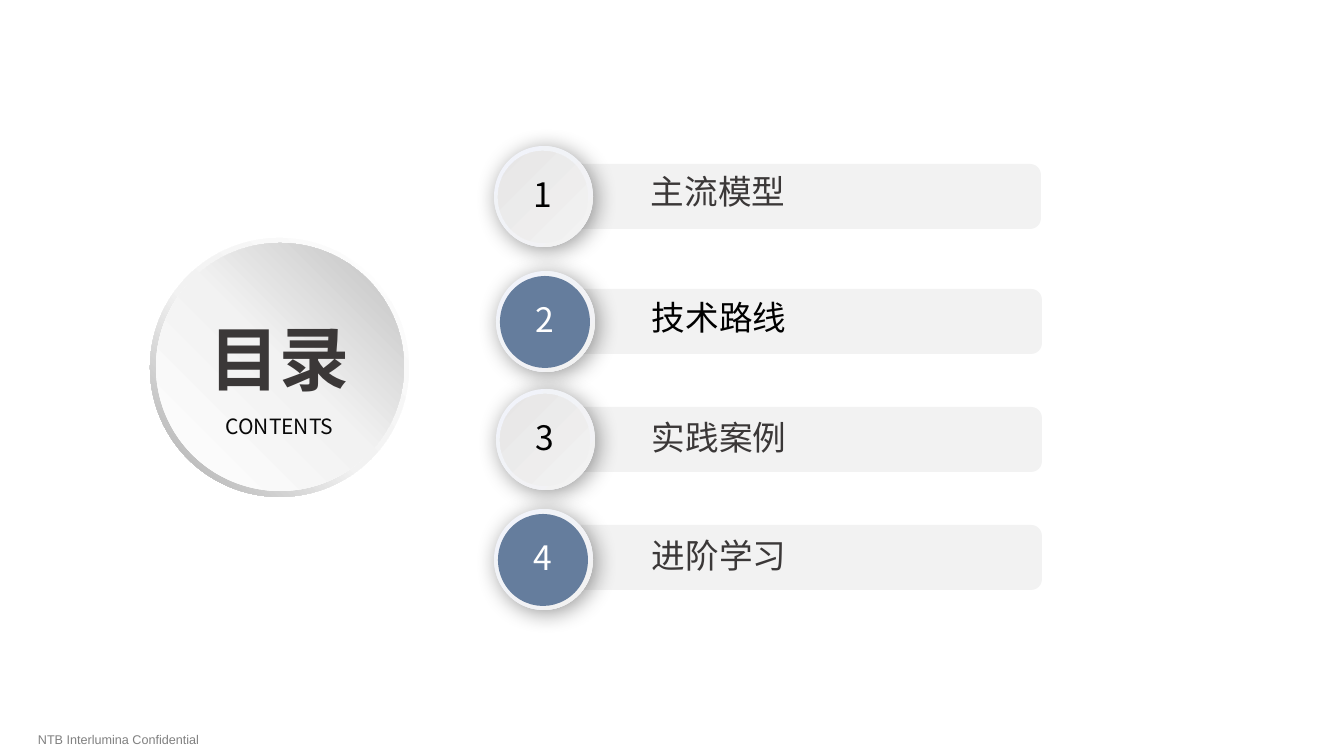
from lxml import etree
from pptx import Presentation
from pptx.dml.color import RGBColor
from pptx.enum import shapes, text
from pptx.oxml.ns import qn

PX = 914400 / 100.8
PT = 12700
SANS, ARIAL = "Noto Sans CJK SC", "Arial"

WHITE = RGBColor(0xFF, 0xFF, 0xFF)
BLACK = RGBColor(0x00, 0x00, 0x00)
INK = RGBColor(0x3B, 0x38, 0x38)
SOFT_BLACK = RGBColor(0x08, 0x08, 0x08)
FOOTER_GRAY = RGBColor(0x80, 0x80, 0x80)
PALE = RGBColor(0xF2, 0xF2, 0xF2)
BLUE = RGBColor(0x65, 0x7D, 0x9D)

# Gradients: clockwise angle, then (percent, colour) stops
RIM = (135, [(0, WHITE), (55, PALE), (100, RGBColor(0xA6, 0xA6, 0xA6))])
FACE = (315, [(0, WHITE), (51, PALE), (100, RGBColor(0xBF, 0xBF, 0xBF))])
DISC = (45, [(0, RGBColor(0xF1, 0xF3, 0xFA)), (100, PALE)])
GRAY_KNOB = (225, [(0, PALE), (100, RGBColor(0xE7, 0xE6, 0xE6))])

FOOTER = "NTB Interlumina Confidential"
TITLE, SUBTITLE = "目录", "CONTENTS"

# label, label colour, label top, label width, bar (left, top), disc (left, top)
CHAPTERS = [
    ("主流模型", INK, 166, 269, (537, 164), (494, 146)),
    ("技术路线", BLACK, 292, 269, (538, 289), (496, 271)),
    ("实践案例", INK, 412, 398, (538, 407), (496, 389)),
    ("进阶学习", INK, 530, 344, (538, 525), (494, 509)),
]
KNOBS = [(GRAY_KNOB, BLACK), (BLUE, WHITE)]  # odd and even chapters
BAR_SIZE, DISC_SIZE, KNOB_SIZE, NUMBER_SIZE = (504, 65), (99, 101), (90, 92), (36, 54)
LABEL_INDENT, LABEL_HEIGHT = 104, 50

OVAL = shapes.MSO_SHAPE.OVAL
CENTER = text.PP_ALIGN.CENTER


def emu(*lengths):
    return [round(length * PX) for length in lengths]


def add_color(parent, color):
    return etree.SubElement(parent, qn("a:srgbClr"), val=str(color))


def paint(shape, fill):
    """Fill with a plain colour or with an (angle, stops) gradient."""
    if isinstance(fill, RGBColor):
        shape.fill.solid()
        shape.fill.fore_color.rgb = fill
        return
    angle, stops = fill
    shape.fill.gradient()
    shape.fill.gradient_angle = 360 - angle
    stop_list = shape.element.spPr.find(".//" + qn("a:gsLst"))
    for stop in list(stop_list):
        stop_list.remove(stop)
    for percent, color in stops:
        add_color(etree.SubElement(stop_list, qn("a:gs"), pos=str(percent * 1000)), color)


def add_figure(slide, preset, place, size, fill):
    figure = slide.shapes.add_shape(preset, *emu(*place, *size))
    figure.shadow.inherit = False
    figure.line.fill.background()
    paint(figure, fill)
    return figure


def cast_shadow(figure):
    effects = figure.element.spPr.find(qn("a:effectLst"))
    outer = etree.SubElement(
        effects, qn("a:outerShdw"), blurRad=str(16 * PT), dist=str(3 * PT),
        dir=str(45 * 60000), algn="tl", rotWithShape="0")
    etree.SubElement(add_color(outer, BLACK), qn("a:alpha"), val="40000")


def add_words(slide, words, place, size, points, color, font=SANS, bold=False,
              align=text.PP_ALIGN.LEFT, **frame_format):
    frame = slide.shapes.add_textbox(*emu(*place, *size)).text_frame
    for name, value in {"word_wrap": True, **frame_format}.items():
        setattr(frame, name, value)
    paragraph = frame.paragraphs[0]
    paragraph.alignment = align
    run = paragraph.add_run()
    run.text = words
    for name, value in {"name": font, "size": points * PT, "bold": bold}.items():
        setattr(run.font, name, value)
    run.font.color.rgb = color
    etree.SubElement(run.font._element, qn("a:ea"), typeface=font)


def add_title_badge(slide):
    rim = add_figure(slide, shapes.MSO_SHAPE.DONUT, (150, 238), (259, 259), RIM)
    rim.adjustments[0] = 0.05
    add_figure(slide, OVAL, (156, 243), (248, 248), FACE)
    add_words(slide, TITLE, (185, 311), (190, 95), 50, INK, bold=True, align=CENTER)
    add_words(slide, SUBTITLE, (204, 405), (151, 42), 15, SOFT_BLACK, align=CENTER,
              vertical_anchor=text.MSO_ANCHOR.MIDDLE)


def add_chapter(slide, number, label, label_color, label_top, label_width, bar, disc):
    knob_fill, number_color = KNOBS[(number - 1) % 2]
    left, top = disc
    add_figure(slide, shapes.MSO_SHAPE.ROUNDED_RECTANGLE, bar, BAR_SIZE, PALE)
    cast_shadow(add_figure(slide, OVAL, disc, DISC_SIZE, DISC))
    add_figure(slide, OVAL, (left + 4, top + 5), KNOB_SIZE, knob_fill)
    add_words(slide, str(number), (left + 31, top + 23), NUMBER_SIZE, 24, number_color,
              align=CENTER, margin_left=0, margin_right=0)
    add_words(slide, label, (bar[0] + LABEL_INDENT, label_top),
              (label_width, LABEL_HEIGHT), 24, label_color)


def main():
    deck = Presentation()
    deck.slide_width, deck.slide_height = emu(1344, 756)
    slide = deck.slides.add_slide(deck.slide_layouts[6])
    add_words(slide, FOOTER, (28, 727), (543, 37), 9, FOOTER_GRAY, font=ARIAL)
    add_title_badge(slide)
    for number, chapter in enumerate(CHAPTERS, 1):
        add_chapter(slide, number, *chapter)
    deck.save("out.pptx")


if __name__ == "__main__":
    main()
